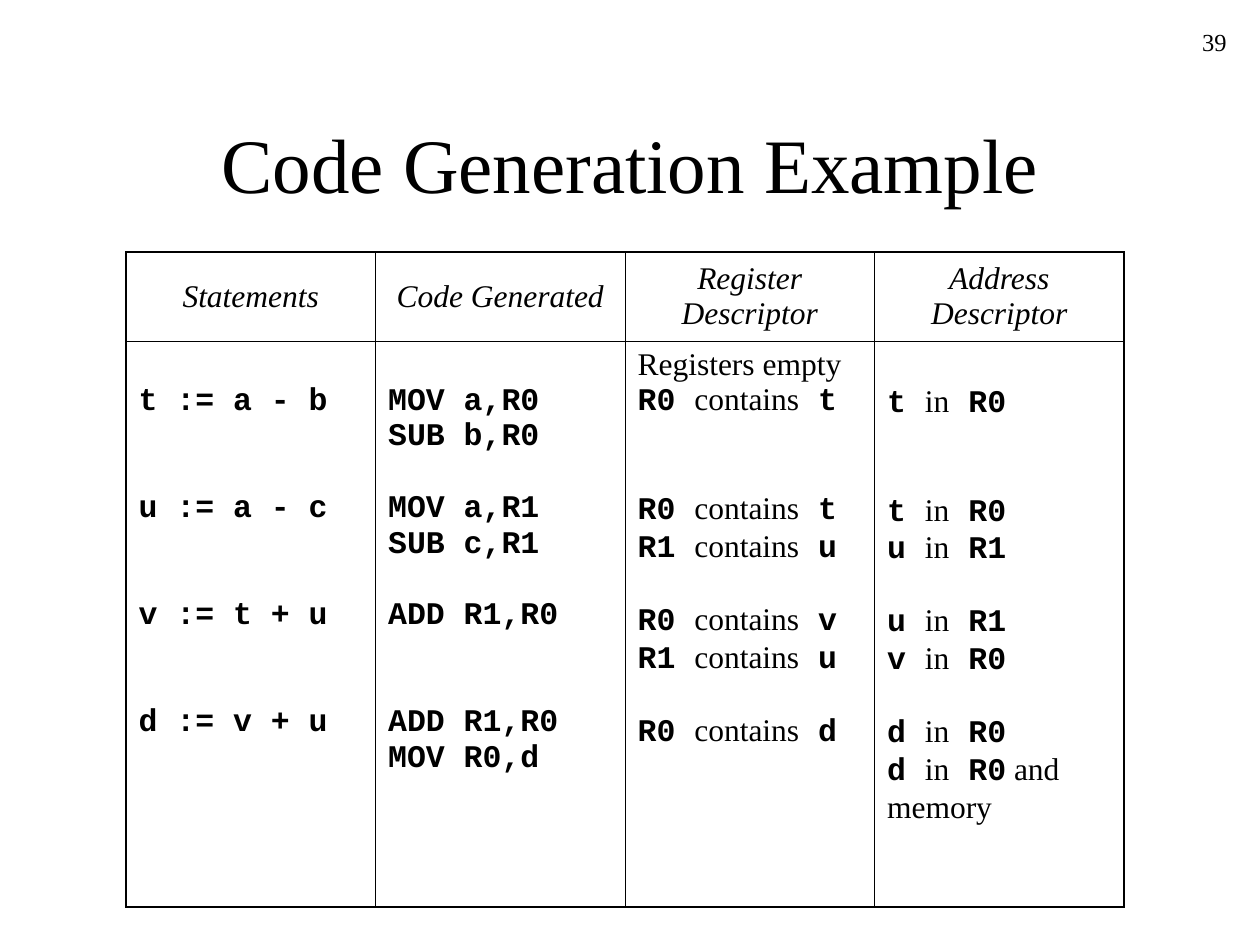
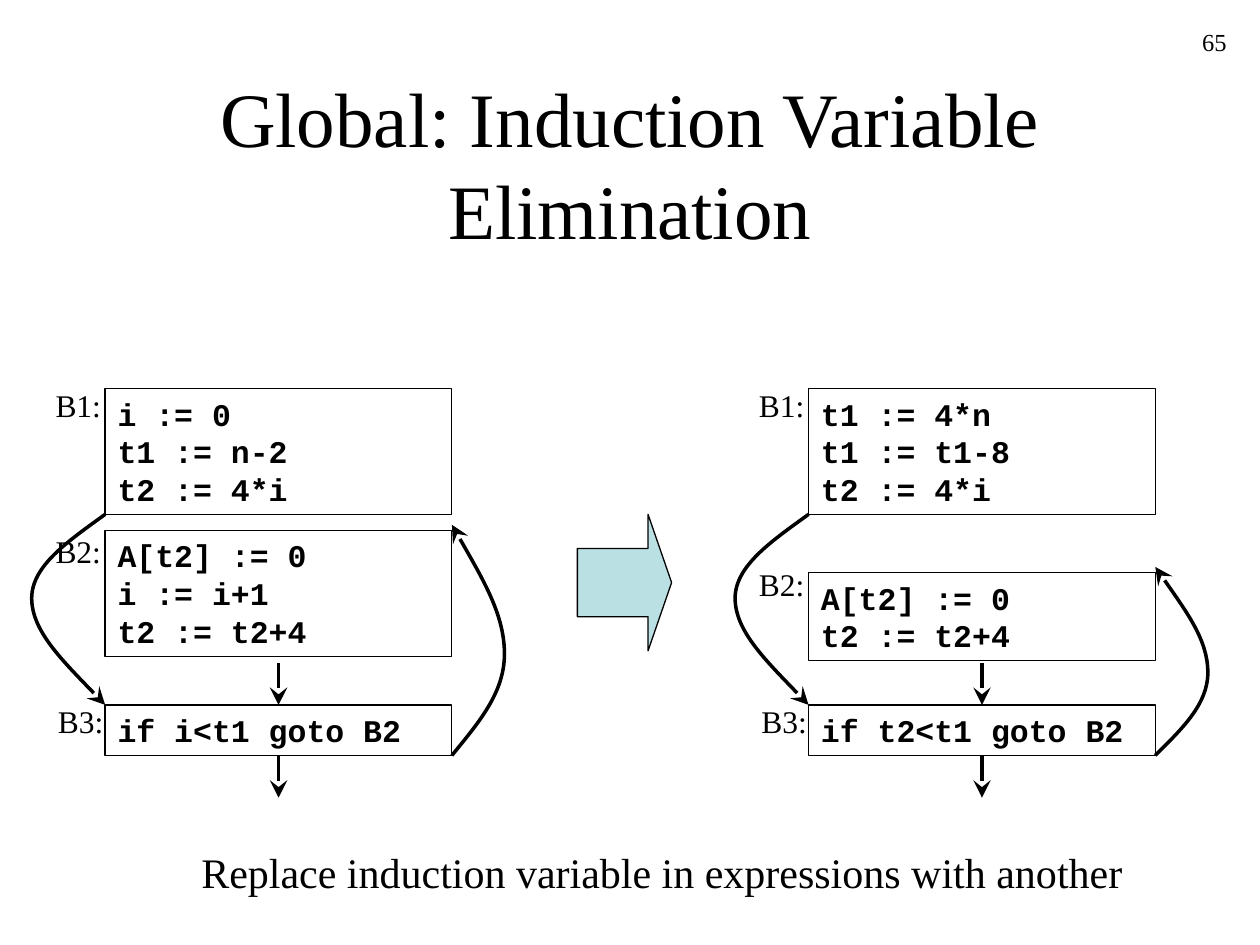
from dataclasses import dataclass

from lxml.etree import SubElement
from pptx import Presentation
from pptx.dml.color import RGBColor
from pptx.enum.shapes import MSO_CONNECTOR as Connector, MSO_SHAPE as Preset
from pptx.enum.text import MSO_ANCHOR as Anchor, MSO_AUTO_SIZE as AutoSize, PP_ALIGN as Align
from pptx.oxml.ns import qn
from pptx.util import Cm, Pt

SERIF = "Times New Roman"
MONO = "Courier New"
BLACK = "000000"
PALE_TEAL = "BBE0E3"
BLANK_LINE = 20.4
TITLE_ONLY = 5

BULGE_STEPS = (0, 0.5, 1, 1, 1, 0.5, 0)
HEIGHT_STEPS = (0, 0.14, 0.27, 0.44, 0.61, 0.8, 1)


@dataclass(frozen=True)
class Style:
    size: float
    name: str = SERIF
    bold: bool = False
    italic: bool = False
    align: Align = Align.LEFT
    spacing: float | None = None


TITLE = Style(44, align=Align.CENTER, spacing=52.5)
NUMBER = Style(14, align=Align.RIGHT)
HEADER = Style(18, italic=True, align=Align.CENTER)
LABEL = Style(18)
CODE = Style(18, MONO, bold=True, spacing=21.6)
CAPTION = Style(24)


@dataclass(frozen=True)
class Line:
    text: str
    blanks: int = 0


@dataclass(frozen=True)
class Column:
    heading: str
    lines: tuple[Line, ...]
    skips_first_line: bool = True


@dataclass(frozen=True)
class Block:
    name: str
    top: float
    height: float
    code: tuple[str, ...]
    label_shift: float = -1.25
    label_drop: float = -0.18


@dataclass(frozen=True)
class Flow:
    left: float
    blocks: tuple[Block, Block, Block]


COLUMNS = (
    Column("Statements", (
        Line("|t := a - b|"),
        Line("|u := a - c|", 2),
        Line("|v := t + u|", 2),
        Line("|d := v + u|", 2),
    )),
    Column("Code Generated", (
        Line("|MOV a,R0|"),
        Line("|SUB b,R0|"),
        Line("|MOV a,R1|", 1),
        Line("|SUB c,R1|"),
        Line("|ADD R1,R0|", 1),
        Line("|ADD R1,R0|", 2),
        Line("|MOV R0,d|"),
    )),
    Column("Register Descriptor", (
        Line("Registers empty"),
        Line("|R0 |contains| t|"),
        Line("|R0 |contains| t|", 2),
        Line("|R1 |contains| u|"),
        Line("|R0 |contains| v|", 1),
        Line("|R1 |contains| u|"),
        Line("|R0 |contains| d|", 1),
    ), skips_first_line=False),
    Column("Address Descriptor", (
        Line("|t |in| R0|"),
        Line("|t |in| R0|", 2),
        Line("|u |in| R1|"),
        Line("|u |in| R1|", 1),
        Line("|v |in| R0|"),
        Line("|d |in| R0|", 1),
        Line("|d |in| R0| and memory"),
    )),
)

FLOWS = (
    Flow(2.12, (
        Block("B1:", 7.83, 2.54, ("i := 0", "t1 := n-2", "t2 := 4*i")),
        Block("B2:", 10.69, 2.54, ("A[t2] := 0", "i := i+1", "t2 := t2+4"), label_drop=-0.08),
        Block("B3:", 14.21, 1.02, ("if i<t1 goto B2",), label_shift=-1.2),
    )),
    Flow(16.3, (
        Block("B1:", 7.83, 2.54, ("t1 := 4*n", "t1 := t1-8", "t2 := 4*i")),
        Block("B2:", 11.54, 1.77, ("A[t2] := 0", "t2 := t2+4"), label_drop=-0.28),
        Block("B3:", 14.21, 1.02, ("if t2<t1 goto B2",), label_shift=-1.2),
    )),
)
BLOCK_WIDTH = 6.99


def color(value: str) -> RGBColor:
    return RGBColor.from_string(value)


def place(shape, left: float, top: float, width: float, height: float) -> None:
    shape.left, shape.top, shape.width, shape.height = map(Cm, (left, top, width, height))


def format_paragraph(para, style: Style) -> None:
    para.alignment = style.align
    if style.spacing:
        para.line_spacing = Pt(style.spacing)
    font = para.font
    font.size, font.name = Pt(style.size), style.name
    font.bold, font.italic = style.bold, style.italic
    font.color.rgb = color(BLACK)


def write_lines(frame, lines: tuple[str, ...], style: Style) -> None:
    for index, text in enumerate(lines):
        para = frame.add_paragraph() if index else frame.paragraphs[0]
        para.text = text
        format_paragraph(para, style)


def add_text(slide, text: str, style: Style, left: float, top: float,
             width: float, height: float, wrap: bool = False) -> None:
    box = slide.shapes.add_textbox(Cm(left), Cm(top), Cm(width), Cm(height))
    box.text_frame.word_wrap = wrap
    write_lines(box.text_frame, (text,), style)


def add_page(deck, title: str, number: str):
    slide = deck.slides.add_slide(deck.slide_layouts[TITLE_ONLY])
    heading = slide.shapes.title
    place(heading, 1.91, 1.69, 21.59, 3.18)
    frame = heading.text_frame
    frame.auto_size = AutoSize.NONE
    frame.vertical_anchor = Anchor.MIDDLE
    write_lines(frame, (title,), TITLE)
    add_text(slide, number, NUMBER, 19.69, 0.42, 5.29, 1.27, wrap=True)
    return slide


def set_borders(cell, row: int, column: int) -> None:
    outer = {
        "lnL": column == 0,
        "lnR": column == len(COLUMNS) - 1,
        "lnT": row == 0,
        "lnB": row == 1,
    }
    properties = cell._tc.get_or_add_tcPr()
    for side, is_outer in outer.items():
        width = Pt(1.08 if is_outer else 0.45)
        border = SubElement(properties, qn(f"a:{side}"), w=str(width))
        fill = SubElement(border, qn("a:solidFill"))
        SubElement(fill, qn("a:srgbClr"), val=BLACK)
    cell.fill.background()


def write_mixed_lines(frame, lines: tuple[Line, ...]) -> None:
    for index, line in enumerate(lines):
        para = frame.add_paragraph() if index else frame.paragraphs[0]
        if line.blanks:
            para.space_before = Pt(BLANK_LINE * line.blanks)
        spans = [(part, position % 2 == 1)
                 for position, part in enumerate(line.text.split("|")) if part]
        all_code = all(is_code for _, is_code in spans)
        format_paragraph(para, Style(18, MONO, bold=True) if all_code else LABEL)
        for part, is_code in spans:
            span = para.add_run()
            span.text = part
            if is_code and not all_code:
                span.font.name, span.font.bold = MONO, True


def add_descriptor_table(slide) -> None:
    frame = slide.shapes.add_table(2, len(COLUMNS), Cm(2.54), Cm(5.08), Cm(20.12), Cm(13.2))
    table = frame.table
    table.first_row = table.horz_banding = False
    table.rows[0].height, table.rows[1].height = Cm(1.8), Cm(11.4)
    for index, column in enumerate(COLUMNS):
        table.columns[index].width = Cm(5.03)
        header, body = table.cell(0, index), table.cell(1, index)
        header.vertical_anchor = Anchor.MIDDLE
        write_lines(header.text_frame, (column.heading,), HEADER)
        body.margin_top = Cm(0.86 if column.skips_first_line else 0.13)
        write_mixed_lines(body.text_frame, column.lines)
        for row, cell in enumerate((header, body)):
            set_borders(cell, row, index)


def style_arrow(shape) -> None:
    shape.line.color.rgb = color(BLACK)
    shape.line.width = Pt(2)
    SubElement(shape.line._get_or_add_ln(), qn("a:tailEnd"), type="stealth", w="lg", len="lg")


def add_down_arrow(slide, block_box, top: float, bottom: float, block_side: int) -> None:
    center = block_box.left + block_box.width // 2
    arrow = slide.shapes.add_connector(Connector.STRAIGHT, center, Cm(top), center, Cm(bottom))
    join = arrow.end_connect if block_side == 0 else arrow.begin_connect
    join(block_box, block_side)
    style_arrow(arrow)
    SubElement(arrow._element.spPr, qn("a:effectLst"))


def add_jump_curve(slide, x: float, bulge: float, start: float, end: float) -> None:
    points = [(Cm(x + bulge * across), Cm(start + (end - start) * along))
              for across, along in zip(BULGE_STEPS, HEIGHT_STEPS)]
    builder = slide.shapes.build_freeform(*points[0])
    builder.add_line_segments(points[1:], close=False)
    curve = builder.convert_to_shape()
    curve.shadow.inherit = False
    curve.fill.background()
    style_arrow(curve)
    outline = next(curve._element.iter(qn("a:path")))
    segments = outline.findall(qn("a:lnTo"))
    for first in range(0, len(segments), 3):
        bezier = SubElement(outline, qn("a:cubicBezTo"))
        for segment in segments[first:first + 3]:
            bezier.append(segment[0])
            outline.remove(segment)


def add_preset(slide, preset: Preset, left: float, top: float, width: float, height: float):
    shape = slide.shapes.add_shape(preset, Cm(left), Cm(top), Cm(width), Cm(height))
    shape.shadow.inherit = False
    shape.fill.background()
    shape.line.color.rgb = color(BLACK)
    shape.line.width = Pt(0.75)
    return shape


def add_block(slide, block: Block, left: float):
    box = add_preset(slide, Preset.RECTANGLE, left, block.top, BLOCK_WIDTH, block.height)
    box.text_frame.vertical_anchor = Anchor.TOP
    box.text_frame.word_wrap = True
    write_lines(box.text_frame, block.code, CODE)
    add_text(slide, block.name, LABEL, left + block.label_shift,
             block.top + block.label_drop, 1.42, 1.02)
    return box


def add_flow(slide, flow: Flow) -> None:
    entry, loop, test = flow.blocks
    boxes = [add_block(slide, block, flow.left) for block in flow.blocks]
    test_bottom = test.top + test.height
    add_jump_curve(slide, flow.left, -1.48, entry.top + entry.height, test.top)
    add_jump_curve(slide, flow.left + BLOCK_WIDTH, 1.06, test_bottom, loop.top - 0.11)
    add_down_arrow(slide, boxes[2], test.top - 0.84, test.top, 0)
    add_down_arrow(slide, boxes[2], test_bottom, test_bottom + 0.85, 2)


def main() -> None:
    deck = Presentation()
    deck.slide_width, deck.slide_height = Cm(25.4), Cm(19.05)

    example_page = add_page(deck, "Code Generation Example", "39")
    add_descriptor_table(example_page)

    induction_page = add_page(deck, "Global: Induction Variable Elimination", "65")
    for flow in FLOWS:
        add_flow(induction_page, flow)
    step_arrow = add_preset(induction_page, Preset.RIGHT_ARROW, 11.64, 10.37, 1.9, 2.75)
    step_arrow.adjustments[0], step_arrow.adjustments[1] = 0.5, 0.25
    step_arrow.fill.solid()
    step_arrow.fill.fore_color.rgb = color(PALE_TEAL)
    add_text(induction_page, "Replace induction variable in expressions with another",
             CAPTION, 3.81, 16.93, 19.08, 1.27)

    deck.save("out.pptx")


if __name__ == "__main__":
    main()
